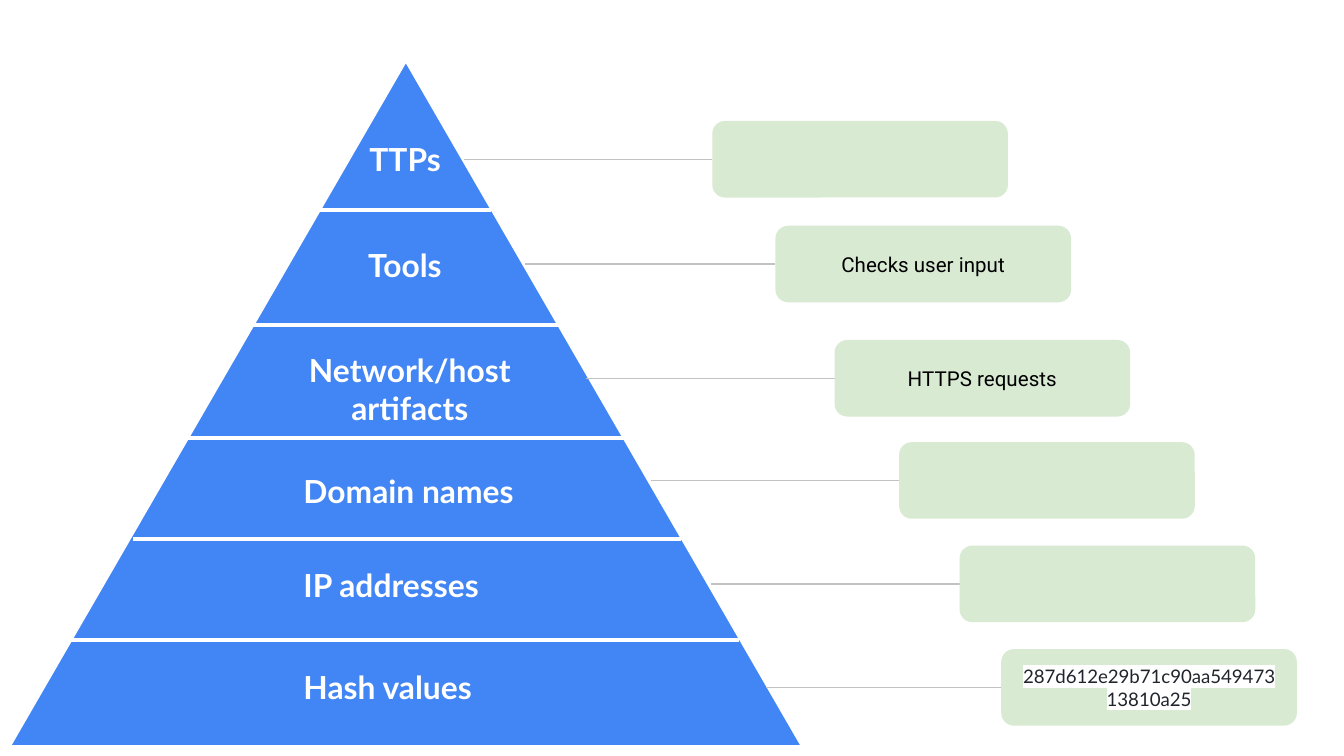
from dataclasses import dataclass

from lxml import etree
from pptx import Presentation
from pptx import util as u
from pptx.dml.color import RGBColor
from pptx.enum import shapes, text
from pptx.oxml import ns


@dataclass(frozen=True)
class Theme:
    pyramid: str = "4285F4"
    white: str = "FFFFFF"
    connector: str = "C2C2C2"
    card: str = "D9EAD3"
    black: str = "000000"
    hash_ink: str = "20242C"
    heading_font: str = "Lato"
    body_font: str = "Roboto"
    level_size: float = 17
    card_size: float = 11
    hash_size: float = 10
    divider_width: float = 2.25
    connector_width: float = 0.75


THEME = Theme()
SLIDE_W = 10
SLIDE_H = SLIDE_W * 9 / 16
CARD_W, CARD_H = 2.2, 0.57

# Pyramid dividers: left, right, y
DIVIDERS = [
    (2.38, 3.65, 1.56),
    (1.88, 4.17, 2.42),
    (1.39, 4.64, 3.26),
    (0.99, 5.07, 4.01),
    (0.53, 5.50, 4.76),
]

# Pyramid levels: label, left, top, width, height, alignment
LEVELS = [
    ("TTPs", 2.65, 0.94, 0.88, 0.49, "LEFT"),
    ("Tools", 2.64, 1.73, 0.88, 0.49, "LEFT"),
    ("Network/host artifacts", 1.96, 2.51, 2.18, 0.77, "CENTER"),
    ("Domain names", 2.16, 3.41, 2.24, 0.49, "LEFT"),
    ("IP addresses", 2.16, 4.11, 2.24, 0.49, "LEFT"),
    ("Hash values", 2.16, 4.87, 2.24, 0.49, "LEFT"),
]

# Example cards: connector start, card left, card top, text, text format
HASH_FORMAT = dict(size=THEME.hash_size, font=THEME.heading_font,
                   color=THEME.hash_ink, highlight=THEME.white)
CARDS = [
    (3.45, 5.30, 0.90, "", {}),
    (3.91, 5.77, 1.68, "Checks user input", {}),
    (4.36, 6.21, 2.53, "HTTPS requests", {}),
    (4.84, 6.69, 3.29, "", {}),
    (5.29, 7.14, 4.06, "", {}),
    (5.70, 7.45, 4.83, "287d612e29b71c90aa54947313810a25", HASH_FORMAT),
]


def rgb(value):
    return RGBColor.from_string(value)


def write(sp, content, size=THEME.card_size, font=THEME.body_font,
          color=THEME.black, bold=False, align="CENTER", anchor="MIDDLE",
          highlight=None):
    """Put one formatted paragraph into a shape or text box."""
    tf = sp.text_frame
    tf.word_wrap = True
    tf.vertical_anchor = getattr(text.MSO_ANCHOR, anchor)
    tf.margin_left = tf.margin_right = u.Inches(0.1)
    tf.margin_top = tf.margin_bottom = u.Inches(0.1)
    p = tf.paragraphs[0]
    p.alignment = getattr(text.PP_ALIGN, align)
    r = p.add_run()
    r.text = content
    r.font.size = u.Pt(size)
    r.font.bold = bold
    r.font.color.rgb = rgb(color)
    r.font.name = font
    if highlight:
        # The schema places the highlight just before the typeface
        mark = etree.Element(ns.qn("a:highlight"))
        etree.SubElement(mark, ns.qn("a:srgbClr"), val=highlight)
        r._r.rPr.find(ns.qn("a:latin")).addprevious(mark)


def add_block(parent, kind, x, y, w, h, fill, line=None, width=0):
    sp = parent.add_shape(kind, *map(u.Inches, (x, y, w, h)))
    sp.shadow.inherit = False
    sp.fill.solid()
    sp.fill.fore_color.rgb = rgb(fill)
    if line:
        sp.line.color.rgb = rgb(line)
        sp.line.width = u.Pt(width)
    else:
        sp.line.fill.background()
    return sp


def add_line(parent, kind, x1, x2, y, color, width):
    """Draw a horizontal connector."""
    c = parent.add_connector(kind, *map(u.Inches, (x1, y, x2, y)))
    c.line.color.rgb = rgb(color)
    c.line.width = u.Pt(width)
    etree.SubElement(c._element.spPr, ns.qn("a:effectLst"))


def add_pyramid(s):
    group = s.shapes.add_group_shape().shapes
    add_block(group, shapes.MSO_SHAPE.ISOSCELES_TRIANGLE, 0.06, 0.44, 5.92,
              5.12, THEME.pyramid, THEME.white, THEME.divider_width)
    for left, right, y in DIVIDERS:
        add_line(group, shapes.MSO_CONNECTOR.STRAIGHT, left, right, y,
                 THEME.white, THEME.divider_width)


def add_level(s, label, x, y, w, h, align):
    box = s.shapes.add_textbox(*map(u.Inches, (x, y, w, h)))
    write(box, label, size=THEME.level_size, font=THEME.heading_font,
          color=THEME.white, bold=True, align=align, anchor="TOP")
    box.text_frame.auto_size = text.MSO_AUTO_SIZE.SHAPE_TO_FIT_TEXT


def add_card(s, start, x, y, content, text_format):
    add_line(s.shapes, shapes.MSO_CONNECTOR.ELBOW, start, x, y + CARD_H / 2,
             THEME.connector, THEME.connector_width)
    sp = add_block(s.shapes, shapes.MSO_SHAPE.ROUNDED_RECTANGLE, x, y,
                   CARD_W, CARD_H, THEME.card)
    if content:
        write(sp, content, **text_format)


def main():
    prs = Presentation()
    prs.slide_width, prs.slide_height = u.Inches(SLIDE_W), u.Inches(SLIDE_H)
    s = prs.slides.add_slide(prs.slide_layouts[6])

    # Pyramid and its labels
    add_pyramid(s)
    for level in LEVELS:
        add_level(s, *level)

    # Example cards linked to each level
    for card in CARDS:
        add_card(s, *card)

    prs.save("out.pptx")


if __name__ == "__main__":
    main()
